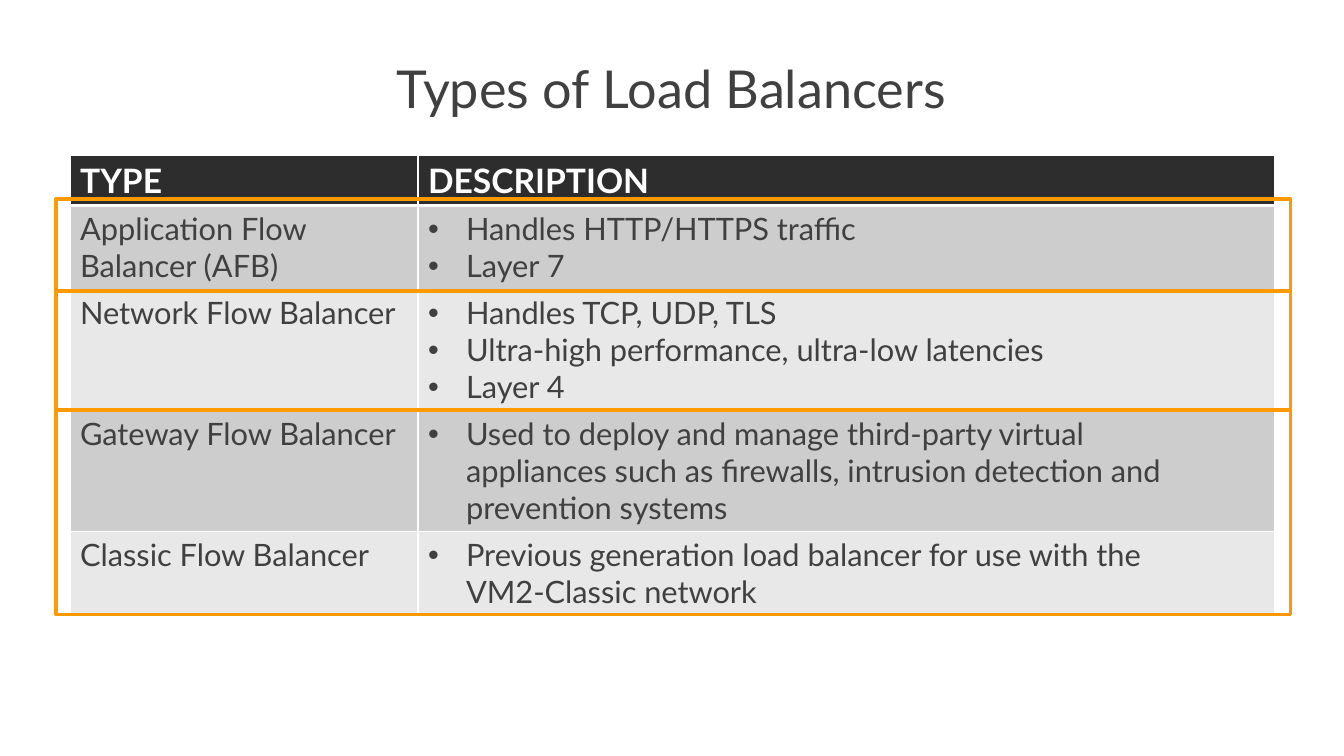
from itertools import pairwise

from lxml import etree
from pptx import Presentation
from pptx.dml.color import RGBColor
from pptx.enum.shapes import MSO_SHAPE
from pptx.enum.text import MSO_ANCHOR, MSO_AUTO_SIZE, PP_ALIGN
from pptx.oxml.ns import qn
from pptx.util import Pt

RECTANGLE = MSO_SHAPE.RECTANGLE
MIDDLE = MSO_ANCHOR.MIDDLE
NO_AUTOFIT = MSO_AUTO_SIZE.NONE
CENTER = PP_ALIGN.CENTER

EMU_PER_PX = 914400 / 100.8
TITLE_ONLY_LAYOUT = 5

HEADERS = ["TYPE", "DESCRIPTION"]
BALANCERS = [
    ("Application Flow Balancer (AFB)",
     ["Handles HTTP/HTTPS traffic", "Layer 7"]),
    ("Network Flow Balancer",
     ["Handles TCP, UDP, TLS", "Ultra-high performance, ultra-low latencies", "Layer 4"]),
    ("Gateway Flow Balancer",
     ["Used to deploy and manage third-party virtual\n"
      "appliances such as firewalls, intrusion detection and prevention systems"]),
    ("Classic Flow Balancer",
     ["Previous generation load balancer for use with the\nVM2-Classic network"]),
]
COLUMN_WIDTHS = [348, 857]
ROW_HEIGHTS = [49, 84, 121, 121, 84]
FRAME_EDGES = [199, 291, 410, 615]


def px(length):
    return round(length * EMU_PER_PX)


def color(hex_string):
    return RGBColor.from_string(hex_string)


class SlideBuilder:
    font_name = "Lato"
    text_color = "404040"
    header_text = "FFFFFF"
    header_fill = "2D2D2D"
    band_fills = ("CDCDCD", "E8E8E8")
    border_color = "FFFFFF"
    frame_color = "FF9900"
    bullet_indent = 38

    def __init__(self, slide):
        self.slide = slide

    def format_runs(self, para, size, hex_string, bold=False):
        for span in para.runs:
            span.font.name = self.font_name
            span.font.size = Pt(size)
            span.font.bold = bold
            span.font.color.rgb = color(hex_string)

    def title(self, text, left, top, width, height):
        box = self.slide.shapes.title
        box.left, box.top, box.width, box.height = map(px, (left, top, width, height))
        frame = box.text_frame
        frame.text = text
        frame.auto_size = NO_AUTOFIT
        frame.vertical_anchor = MIDDLE
        para = frame.paragraphs[0]
        para.alignment = CENTER
        para.line_spacing = 0.9
        self.format_runs(para, 37.3, self.text_color)

    def bullet(self, para):
        properties = para._p.get_or_add_pPr()
        properties.set("marL", str(px(self.bullet_indent)))
        properties.set("indent", str(-px(self.bullet_indent)))
        etree.SubElement(properties, qn("a:buFont"), typeface="Arial")
        etree.SubElement(properties, qn("a:buChar"), char="•")

    def borders(self, cell, top, bottom):
        """Draw the four cell borders, with top and bottom widths in points."""
        properties = cell._tc.get_or_add_tcPr()
        for side, width in (("L", 1), ("R", 1), ("T", top), ("B", bottom)):
            line = etree.SubElement(properties, qn(f"a:ln{side}"), w=str(Pt(width)))
            fill = etree.SubElement(line, qn("a:solidFill"))
            etree.SubElement(fill, qn("a:srgbClr"), val=self.border_color)

    def cell(self, cell, lines, row, bulleted):
        is_header = row == 0
        self.borders(cell, top=3 if row == 1 else 1, bottom=3 if is_header else 1)
        cell.fill.solid()
        fill = self.header_fill if is_header else self.band_fills[(row - 1) % 2]
        cell.fill.fore_color.rgb = color(fill)
        frame = cell.text_frame
        for index, line in enumerate(lines):
            para = frame.add_paragraph() if index else frame.paragraphs[0]
            para.text = line
            if bulleted:
                self.bullet(para)
            if is_header:
                self.format_runs(para, 24, self.header_text, bold=True)
            else:
                self.format_runs(para, 22, self.text_color)

    def table(self, headers, records, left, top):
        size = px(sum(COLUMN_WIDTHS)), px(sum(ROW_HEIGHTS))
        table = self.slide.shapes.add_table(
            len(ROW_HEIGHTS), len(COLUMN_WIDTHS), px(left), px(top), *size).table
        for column, width in zip(table.columns, COLUMN_WIDTHS):
            column.width = px(width)
        for row, height in zip(table.rows, ROW_HEIGHTS):
            row.height = px(height)
        for index, header in enumerate(headers):
            self.cell(table.cell(0, index), [header], 0, bulleted=False)
        for row, (name, points) in enumerate(records, start=1):
            self.cell(table.cell(row, 0), [name], row, bulleted=False)
            self.cell(table.cell(row, 1), points, row, bulleted=True)

    def frame(self, left, top, width, height):
        shape = self.slide.shapes.add_shape(
            RECTANGLE, px(left), px(top), px(width), px(height))
        shape.shadow.inherit = False
        shape.fill.background()
        shape.line.color.rgb = color(self.frame_color)
        shape.line.width = Pt(2.25)


def main():
    deck = Presentation()
    deck.slide_width, deck.slide_height = px(1344), px(756)
    page = SlideBuilder(deck.slides.add_slide(deck.slide_layouts[TITLE_ONLY_LAYOUT]))
    page.title("Types of Load Balancers", 92, 62, 1159, 59)
    page.table(HEADERS, BALANCERS, 70, 155)
    for top, bottom in pairwise(FRAME_EDGES):
        page.frame(56, top, 1235, bottom - top)
    deck.save("out.pptx")


if __name__ == "__main__":
    main()
